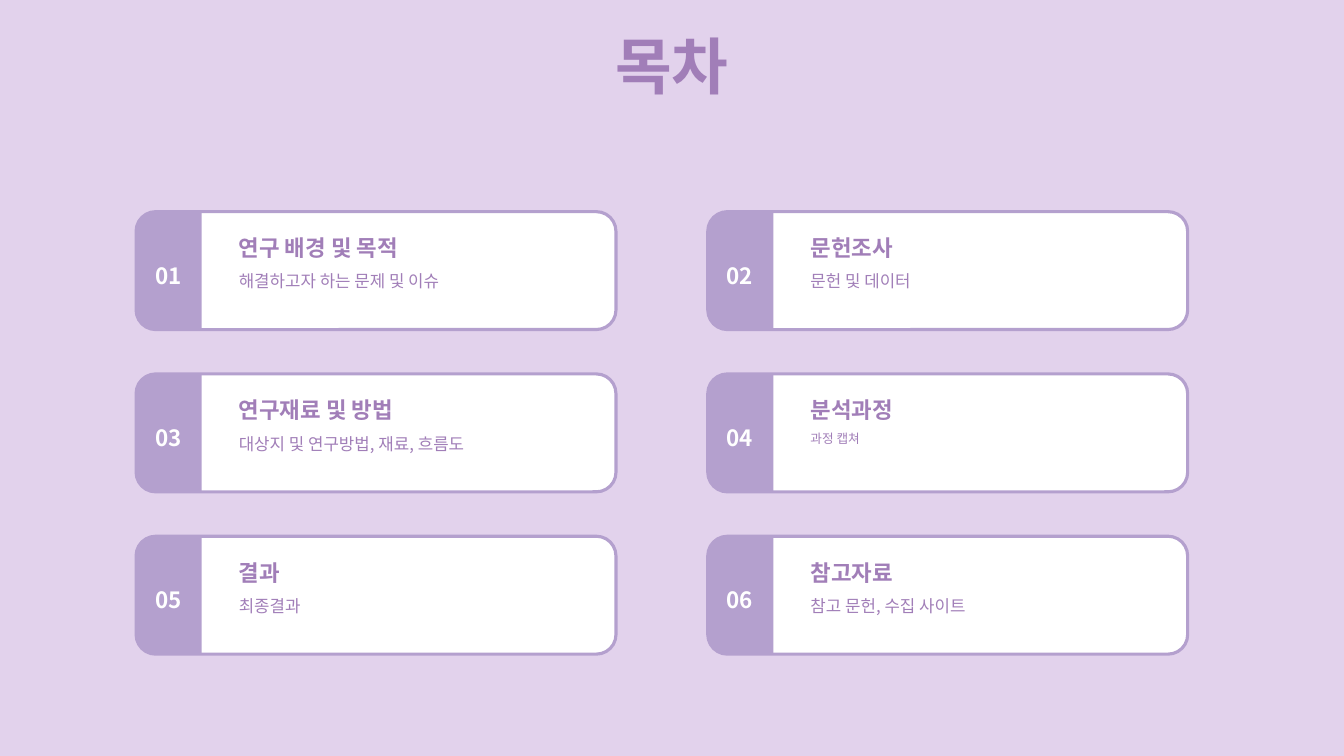
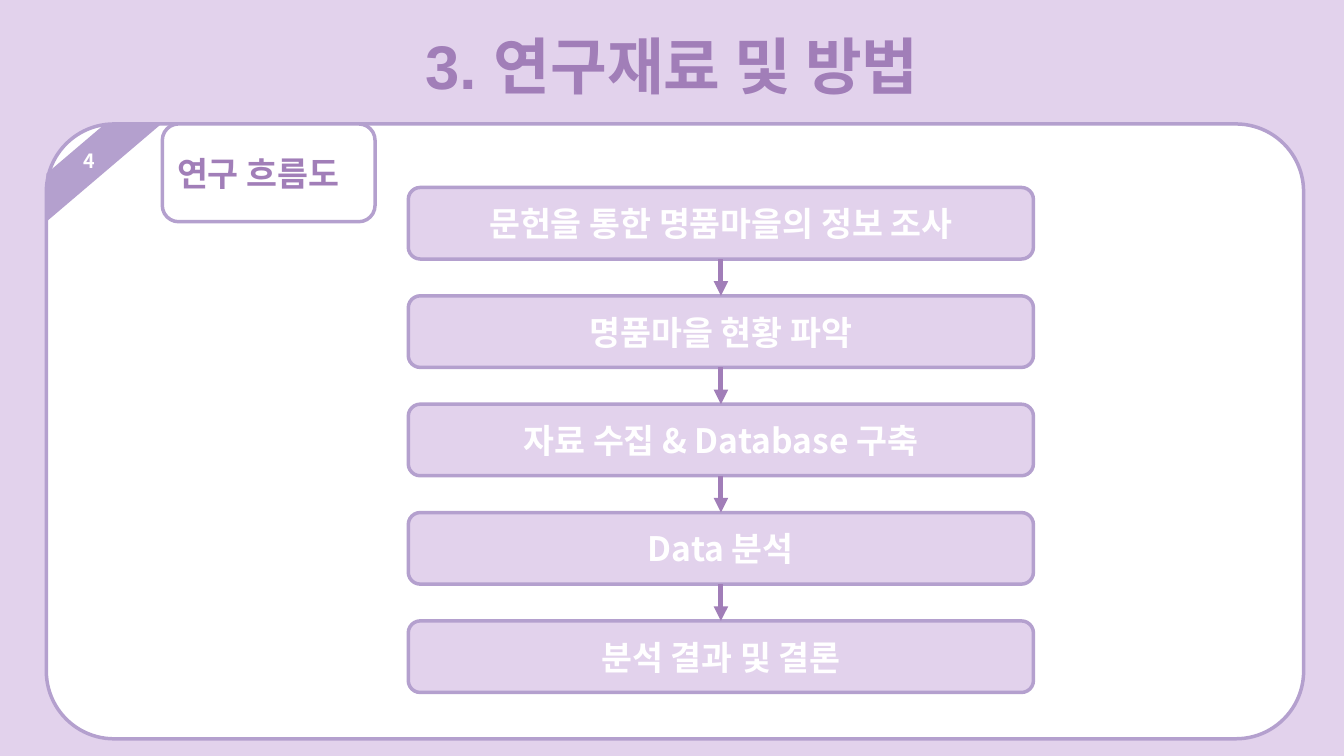
from dataclasses import dataclass
from itertools import pairwise

from lxml import etree
from pptx import Presentation
from pptx import util as u
from pptx.dml.color import RGBColor
from pptx.enum import shapes, text
from pptx.oxml import ns

KIND = shapes.MSO_SHAPE
ALIGN = text.PP_ALIGN
MID = text.MSO_ANCHOR.MIDDLE


@dataclass(frozen=True)
class Theme:
    # Colours
    back: str = "E2D2EC"
    edge: str = "B4A0CE"
    ink: str = "A17EB8"
    white: str = "FFFFFF"
    # Fonts and type sizes
    face: str = "Noto Sans CJK KR"
    head: str = "Arial"
    title: int = 44
    flow: int = 24
    item: int = 16
    page: int = 14
    note: int = 12
    small: int = 9
    # Line widths
    thin: float = 2.25
    rule: float = 2.5
    arrow: float = 3.5


T = Theme()
WIDE, HIGH = 13.33, 7.5

TOPICS = [
    ("연구 배경 및 목적", "해결하고자 하는 문제 및 이슈", T.note),
    ("문헌조사", "문헌 및 데이터", T.note),
    ("연구재료 및 방법", "대상지 및 연구방법, 재료, 흐름도", T.note),
    ("분석과정", "과정 캡쳐", T.small),
    ("결과", "최종결과", T.note),
    ("참고자료", "참고 문헌, 수집 사이트", T.note),
]
STEPS = [
    "문헌을 통한 명품마을의 정보 조사",
    "명품마을 현황 파악",
    "자료 수집 & Database 구축",
    "Data 분석",
    "분석 결과 및 결론",
]


def rgb(code):
    return RGBColor.from_string(code)


def inches(*sides):
    return [u.Inches(side) for side in sides]


def style(para, size, color, bold=True, face=T.face, align=ALIGN.LEFT):
    para.alignment = align
    font = para.font
    font.name, font.size, font.bold = face, u.Pt(size), bold
    font.color.rgb = rgb(color)
    # East Asian letters need their own typeface element
    props = para._p.pPr.find(ns.qn("a:defRPr"))
    etree.SubElement(props, ns.qn("a:ea"), typeface=T.face)


def add_page(deck, name):
    page = deck.slides.add_slide(deck.slide_layouts[5])
    title = page.shapes.title
    title.left, title.top, title.width, title.height = inches(0, 0.22, WIDE, 0.84)
    frame = title.text_frame
    frame.text = name
    frame.auto_size = text.MSO_AUTO_SIZE.NONE
    frame.vertical_anchor = MID
    style(frame.paragraphs[0], T.title, T.ink, face=T.head, align=ALIGN.CENTER)
    return page


def add_box(page, kind, at, fill, line=None, adj=()):
    box = page.shapes.add_shape(kind, *inches(*at))
    box.shadow.inherit = False
    box.fill.solid()
    box.fill.fore_color.rgb = rgb(fill)
    if line:
        box.line.color.rgb = rgb(T.edge)
        box.line.width = u.Pt(line)
    else:
        box.line.fill.background()
    for spot, value in enumerate(adj):
        box.adjustments[spot] = value
    return box


def label(box, words, size, color, align=ALIGN.CENTER):
    frame = box.text_frame
    frame.text = words
    frame.vertical_anchor = MID
    style(frame.paragraphs[0], size, color, align=align)


def add_text(page, at, rows, space=None, wrap=True, align=ALIGN.LEFT):
    frame = page.shapes.add_textbox(*inches(*at)).text_frame
    frame.word_wrap = wrap
    for spot, (words, size, color, bold) in enumerate(rows):
        para = frame.add_paragraph() if spot else frame.paragraphs[0]
        para.text = words
        if space:
            para.line_spacing = space
        style(para, size, color, bold, align=align)


def add_arrow(page, top, low):
    # Sites on a rounded box: 0 is the top edge, 2 the bottom edge
    line = page.shapes.add_connector(shapes.MSO_CONNECTOR.STRAIGHT, 0, 0, 0, 0)
    line.begin_connect(top, 2)
    line.end_connect(low, 0)
    line.line.color.rgb = rgb(T.ink)
    line.line.width = u.Pt(T.arrow)
    etree.SubElement(line.line._get_or_add_ln(), ns.qn("a:tailEnd"), type="triangle")
    etree.SubElement(line._element.spPr, ns.qn("a:effectLst"))


def add_card(page, x, y, number, topic):
    wide, high, tab = 4.76, 1.17, 0.65
    name, note, size = topic
    add_box(page, KIND.ROUNDED_RECTANGLE, (x, y, wide, high), T.white, T.thin)
    # Number tab: lies flat, then turns so its round corners face left
    turn = (high - tab) / 2
    flat = (x - turn, y + turn, high, tab)
    badge = add_box(page, KIND.ROUND_2_SAME_RECTANGLE, flat, T.edge, adj=(0.33, 0))
    badge.rotation = 270
    add_text(page, (x + 0.92, y + 0.04, 3.58, 0.81),
             [(name, T.item, T.ink, True), (note, size, T.ink, False)], space=1.5)
    add_text(page, (x + 0.09, y + 0.45, 0.46, 0.37),
             [(f"{number:02}", T.item, T.white, True)], wrap=False, align=ALIGN.CENTER)


def add_index(deck):
    page = add_page(deck, "목차")
    for spot, topic in enumerate(TOPICS):
        row, col = divmod(spot, 2)
        add_card(page, 1.35 + 5.67 * col, 2.1 + 1.61 * row, spot + 1, topic)


def add_method(deck):
    page = add_page(deck, "3. 연구재료 및 방법")
    # Panel with its corner stripe and tab
    left, top, high = 0.46, 1.23, 0.97
    add_box(page, KIND.ROUNDED_RECTANGLE, (left, top, 12.47, 6.1), T.white, T.rule, (0.11,))
    stripe = add_box(page, KIND.DIAGONAL_STRIPE, (left, top, 1.14, high), T.edge, adj=(0.51,))
    label(stripe, "4", T.page, T.white)
    tab = add_box(page, KIND.ROUNDED_RECTANGLE, (left + 1.15, top, 2.11, high), T.white, T.rule)
    label(tab, "연구 흐름도", T.flow, T.ink, ALIGN.LEFT)

    # Flow of steps, evenly spread from first to last
    first, last = 1.86, 6.16
    pitch = (last - first) / (len(STEPS) - 1)
    boxes = []
    for spot, words in enumerate(STEPS):
        at = (4.05, first + pitch * spot, 6.2, 0.71)
        box = add_box(page, KIND.ROUNDED_RECTANGLE, at, T.back, T.rule)
        label(box, words, T.flow, T.white)
        boxes.append(box)
    for pair in pairwise(boxes):
        add_arrow(page, *pair)


def main():
    deck = Presentation()
    deck.slide_width, deck.slide_height = inches(WIDE, HIGH)
    # Shared background
    fill = deck.slide_master.background.fill
    fill.solid()
    fill.fore_color.rgb = rgb(T.back)
    add_index(deck)
    add_method(deck)
    deck.save("out.pptx")


if __name__ == "__main__":
    main()
